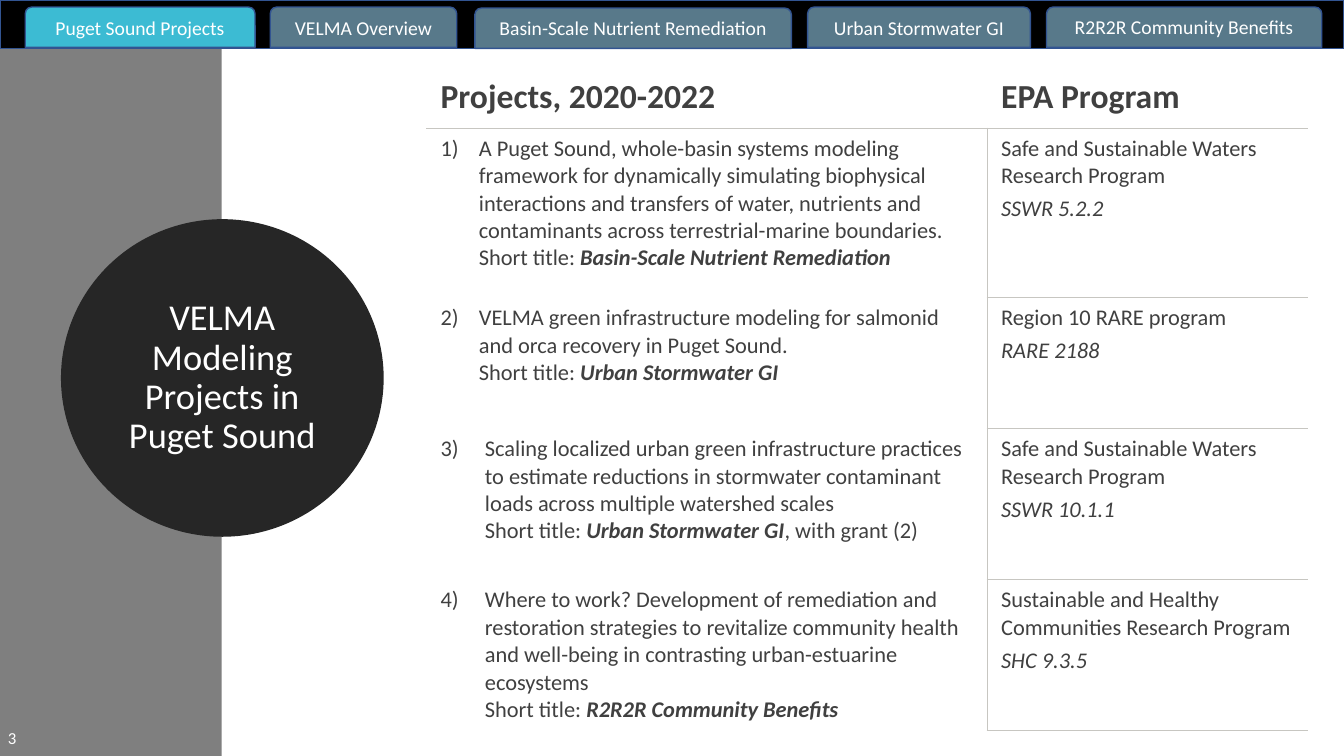
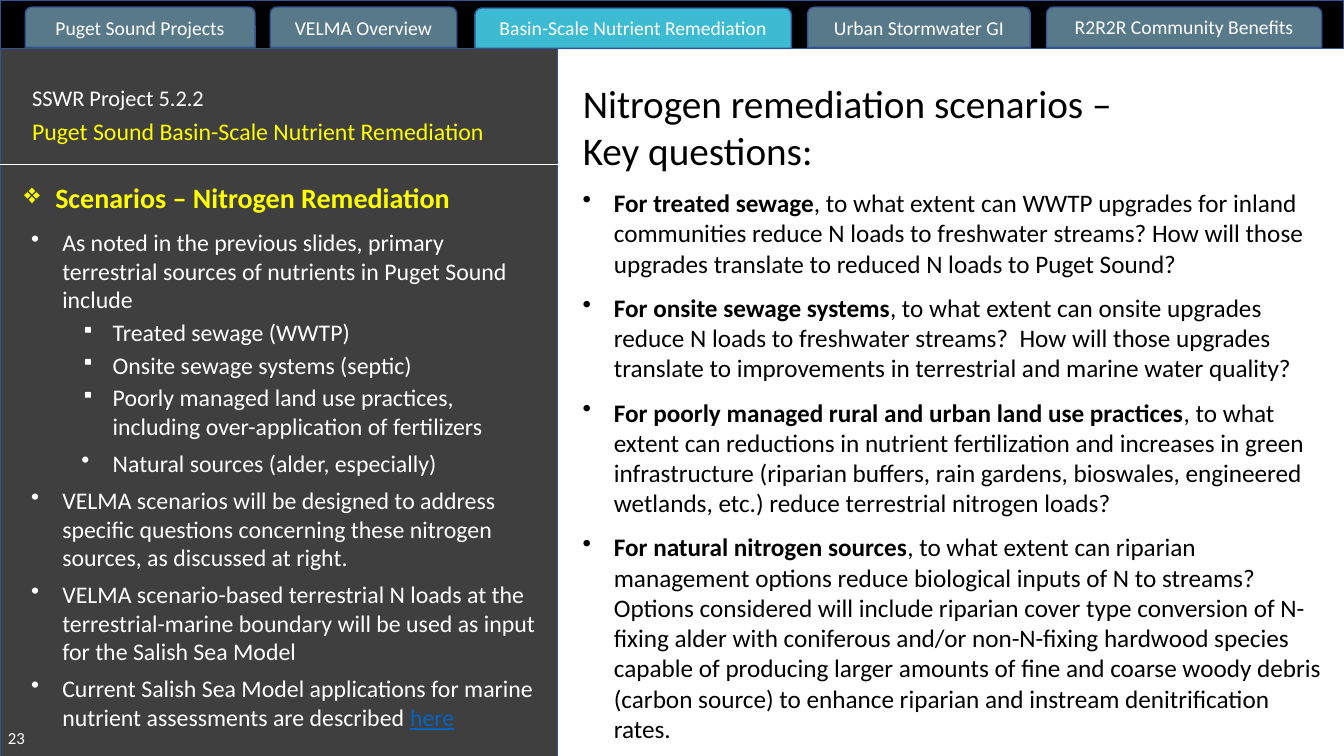
from dataclasses import dataclass

from lxml.etree import SubElement
from pptx import Presentation
from pptx.dml.color import RGBColor
from pptx.enum.shapes import MSO_CONNECTOR as Connector
from pptx.enum.shapes import MSO_SHAPE as Preset
from pptx.enum.text import MSO_ANCHOR as Anchor
from pptx.enum.text import MSO_AUTO_SIZE as AutoSize
from pptx.enum.text import PP_ALIGN as Align
from pptx.oxml.ns import qn
from pptx.util import Inches, Pt

FONT = "Calibri"
COLORS = {
    "white": "FFFFFF",
    "black": "000000",
    "sidebar": "7F7F7F",
    "panel": "3F3F3F",
    "circle": "262626",
    "tab": "58798A",
    "active": "3CBBD3",
    "outline": "325491",
    "table_text": "404040",
    "grid": "C7C6C1",
    "yellow": "FFFF00",
    "link": "0563C1",
}
NO_GRID_STYLE = "{2D5ABB26-0587-4C30-8999-92F81FD0307C}"

TABS = [
    ("Puget Sound Projects", 0.25, 0.07, 2.28, None),
    ("VELMA Overview", 2.68, 0.07, 1.85, None),
    ("Basin-Scale Nutrient Remediation", 4.71, 0.08, 3.14, 14),
    ("Urban Stormwater GI", 8.01, 0.07, 2.21, None),
    ("R2R2R Community Benefits", 10.38, 0.07, 2.73, 14),
]

PROJECTS = [
    (1.68, 0.38,
     "A Puget Sound, whole-basin systems modeling framework for dynamically simulating biophysical "
     "interactions and transfers of water, nutrients and contaminants across terrestrial-marine boundaries.",
     "Basin-Scale Nutrient Remediation", "",
     "Safe and Sustainable Waters Research Program", "SSWR 5.2.2"),
    (1.3, 0.38,
     "VELMA green infrastructure modeling for salmonid and orca recovery in Puget Sound.",
     "Urban Stormwater GI", "", "Region 10 RARE program", "RARE 2188"),
    (1.5, 0.44,
     "Scaling localized urban green infrastructure practices to estimate reductions in stormwater "
     "contaminant loads across multiple watershed scales",
     "Urban Stormwater GI", ", with grant (2)",
     "Safe and Sustainable Waters Research Program", "SSWR 10.1.1"),
    (1.5, 0.44,
     "Where to work? Development of remediation and restoration strategies to revitalize community "
     "health and well-being in contrasting urban-estuarine ecosystems",
     "R2R2R Community Benefits", "",
     "Sustainable and Healthy Communities Research Program", "SHC 9.3.5"),
]

QUESTIONS = [
    ("For treated sewage",
     ", to what extent can WWTP upgrades for inland communities reduce N loads to freshwater streams? "
     "How will those upgrades translate to reduced N loads to Puget Sound?"),
    ("For onsite sewage systems",
     ", to what extent can onsite upgrades reduce N loads to freshwater streams?  How will those "
     "upgrades translate to improvements in terrestrial and marine water quality?"),
    ("For poorly managed rural and urban land use practices",
     ", to what extent can reductions in nutrient fertilization and increases in green infrastructure "
     "(riparian buffers, rain gardens, bioswales, engineered wetlands, etc.) reduce terrestrial "
     "nitrogen loads?"),
    ("For natural nitrogen sources",
     ", to what extent can riparian management options reduce biological inputs of N to streams? "
     "Options considered will include riparian cover type conversion of N-fixing alder with coniferous "
     "and/or non-N-fixing hardwood species capable of producing larger amounts of fine and coarse "
     "woody debris (carbon source) to enhance riparian and instream denitrification rates."),
]


@dataclass
class Box:
    left: float
    top: float
    width: float
    height: float

    def inside(self, left, top, width, height):
        return Box(self.left + left, self.top + top, width, height)

    def lengths(self):
        return [Inches(value) for value in (self.left, self.top, self.width, self.height)]


@dataclass
class Run:
    text: str
    bold: bool = False
    italic: bool = False
    underline: bool = False
    color: str = ""


@dataclass
class Block:
    runs: list
    size: float
    color: str
    before: float = 0
    after: float = 0
    margin: float = 0
    hanging: float = 0
    bullet: str = ""
    bullet_percent: int = 100
    number: int = 0
    level: int = 0
    align: Align = Align.LEFT
    spacing: object = None


def rgb(name):
    return RGBColor.from_string(COLORS[name])


def add_bullet(paragraph, block):
    properties = paragraph._p.get_or_add_pPr()
    properties.set("marL", str(Inches(block.margin)))
    properties.set("indent", str(-Inches(block.hanging)))
    if block.number:
        SubElement(properties, qn("a:buAutoNum"), type="arabicParenR", startAt=str(block.number))
    elif block.bullet:
        SubElement(properties, qn("a:buSzPct"), val=str(block.bullet_percent * 1000))
        SubElement(properties, qn("a:buChar"), char=block.bullet)


def write(frame, blocks):
    for index, block in enumerate(blocks):
        paragraph = frame.add_paragraph() if index else frame.paragraphs[0]
        add_bullet(paragraph, block)
        paragraph.level = block.level
        paragraph.alignment = block.align
        paragraph.space_before = Pt(block.before)
        paragraph.space_after = Pt(block.after)
        if block.spacing:
            paragraph.line_spacing = block.spacing
        for item in block.runs:
            run = paragraph.add_run()
            run.text = item.text
            font = run.font
            font.name, font.size = FONT, Pt(block.size)
            font.bold, font.italic, font.underline = item.bold, item.italic, item.underline
            font.color.rgb = rgb(item.color or block.color)


def add_panel(shapes, preset, box, fill, line=None, line_width=1):
    shape = shapes.add_shape(preset, *box.lengths())
    shape.shadow.inherit = False
    shape.fill.solid()
    shape.fill.fore_color.rgb = rgb(fill)
    if line:
        shape.line.color.rgb = rgb(line)
        shape.line.width = Pt(line_width)
    else:
        shape.line.fill.background()
    return shape


def add_text(slide, box, blocks, anchor=Anchor.TOP):
    frame = slide.shapes.add_textbox(*box.lengths()).text_frame
    frame.word_wrap = True
    frame.vertical_anchor = anchor
    write(frame, blocks)


def place_title(slide, box, block, anchor):
    title = slide.shapes.title
    title.left, title.top, title.width, title.height = box.lengths()
    frame = title.text_frame
    frame.word_wrap = True
    frame.auto_size = AutoSize.NONE
    frame.vertical_anchor = anchor
    write(frame, [block])
    return title


def add_navigation(slide, box, active):
    group = slide.shapes.add_group_shape()
    add_panel(group.shapes, Preset.RECTANGLE, box, "black", "outline")
    for label, left, top, width, spacing in TABS:
        fill = "active" if label == active else "tab"
        tab = add_panel(group.shapes, Preset.ROUND_2_SAME_RECTANGLE,
                        box.inside(left, top, width, 0.4), fill, "outline")
        tab.text_frame.vertical_anchor = Anchor.MIDDLE
        write(tab.text_frame, [Block([Run(label)], 14, "white", align=Align.CENTER,
                                     spacing=Pt(spacing) if spacing else None)])


def add_frame(slide, active, number):
    add_navigation(slide, Box(0, 0, 13.33, 0.48), active)
    add_text(slide, Box(-0.02, 7.12, 0.45, 0.4), [Block([Run(number)], 12, "white")], Anchor.MIDDLE)


def add_circle_title(slide, box, text):
    circle = add_panel(slide.shapes, Preset.OVAL, box, "circle", "circle", 13.75)
    title = place_title(slide, box.inside(0.44, 0.43, box.width - 0.88, box.height - 0.86),
                        Block([Run(text)], 26, "white", align=Align.CENTER, spacing=0.9),
                        Anchor.MIDDLE)
    circle.element.addnext(title.element)


def format_cell(cell, blocks, borders):
    cell.margin_left, cell.margin_right = Inches(0.14), Inches(0.1)
    cell.margin_top = cell.margin_bottom = Inches(0.07)
    properties = cell._tc.get_or_add_tcPr()
    for side in borders:
        line = SubElement(properties, qn(f"a:ln{side}"), w=str(Pt(0.75)))
        SubElement(SubElement(line, qn("a:solidFill")), qn("a:srgbClr"), val=COLORS["grid"])
    cell.fill.background()
    write(cell.text_frame, blocks)


def add_project_table(slide, box):
    table = slide.shapes.add_table(len(PROJECTS) + 1, 2, *box.lengths()).table
    table.first_row = table.horz_banding = False
    table._tbl.tblPr.find(qn("a:tableStyleId")).text = NO_GRID_STYLE
    table.columns[0].width = Inches(5.56)
    table.columns[1].width = Inches(box.width - 5.56)
    table.rows[0].height = Inches(0.58)
    color = "table_text"
    for column, heading in enumerate(["Projects, 2020-2022", "EPA Program"]):
        format_cell(table.cell(0, column), [Block([Run(heading, bold=True)], 24, color)], "B")
    for row, (height, margin, summary, short_title, note, program, code) in enumerate(PROJECTS, 1):
        table.rows[row].height = Inches(height)
        title_runs = [Run("Short title: "), Run(short_title, bold=True, italic=True)]
        if note:
            title_runs.append(Run(note))
        format_cell(table.cell(row, 0), [
            Block([Run(summary)], 16, color, margin=margin, hanging=margin, number=row),
            Block(title_runs, 16, color, margin=margin, level=1),
        ], "R")
        format_cell(table.cell(row, 1), [
            Block([Run(program)], 16, color),
            Block([Run(code, italic=True)], 16, color, before=4),
        ], "LB")


def add_scenario_panel(slide, box):
    add_panel(slide.shapes, Preset.RECTANGLE, box, "panel", "outline")
    add_text(slide, box.inside(0.22, 0.76, 4.86, 0.71), [
        Block([Run("SSWR Project 5.2.2")], 16, "white"),
        Block([Run("Puget Sound Basin-Scale Nutrient Remediation")], 17, "yellow", before=4),
    ])
    left, rule_top = Inches(box.left), Inches(box.top + 1.6)
    rule = slide.shapes.add_connector(Connector.STRAIGHT, left, rule_top,
                                      left + Inches(box.width), rule_top)
    rule.line.color.rgb = rgb("white")
    rule.line.width = Pt(0.5)
    SubElement(rule.element.spPr, qn("a:effectLst"))
    add_text(slide, box.inside(0.14, 1.71, 5, 0.44), [
        Block([Run("Scenarios – Nitrogen Remediation", bold=True)], 20, "yellow",
              margin=0.31, hanging=0.31, bullet="❖"),
    ])

    def point(*runs, before=6.0):
        return Block(list(runs), 17, "white", before, margin=0.31, hanging=0.31, bullet="•")

    def source(text, before=3, bullet="▪", percent=75):
        return Block([Run(text)], 17, "white", before, margin=0.81, hanging=0.31,
                     bullet=bullet, bullet_percent=percent, level=1)

    add_text(slide, box.inside(0.21, 2.18, 5.26, 5.14), [
        point(Run("As noted in the previous slides, primary terrestrial sources of nutrients in "
                  "Puget Sound include"), before=0),
        source("Treated sewage (WWTP)"),
        source("Onsite sewage systems (septic)"),
        source("Poorly managed land use practices, including over-application of fertilizers"),
        source("Natural sources (alder, especially)", 6, "•", 100),
        point(Run("VELMA scenarios will be designed to address specific questions concerning these "
                  "nitrogen sources, as discussed at right.")),
        point(Run("VELMA scenario-based terrestrial N loads at the terrestrial-marine boundary will "
                  "be used as input for the Salish Sea Model")),
        point(Run("Current Salish Sea Model applications for marine nutrient assessments are described "),
              Run("here", underline=True, color="link")),
    ])


def add_key_questions(slide, box):
    place_title(slide, box.inside(0, 0, 5.72, 1.05),
                Block([Run("Nitrogen remediation scenarios – Key questions:")], 28, "black"),
                Anchor.TOP)
    add_text(slide, box.inside(0, 1.07, box.width, box.height - 1.07), [
        Block([Run(topic, bold=True), Run(question)], 18, "black", before=6 if index else 0,
              after=4, margin=0.31, hanging=0.31, bullet="•")
        for index, (topic, question) in enumerate(QUESTIONS)
    ])


def build_projects_slide(slide):
    add_panel(slide.shapes, Preset.RECTANGLE, Box(0, 0, 2.2, 7.5), "sidebar")
    add_circle_title(slide, Box(0.7, 2.27, 3.01, 2.96), "VELMA Modeling Projects in Puget Sound")
    add_project_table(slide, Box(4.23, 0.69, 8.74, 6.56))
    add_frame(slide, "Puget Sound Projects", "3")


def build_questions_slide(slide):
    add_scenario_panel(slide, Box(0, 0.03, 5.53, 7.5))
    add_key_questions(slide, Box(5.68, 0.74, 7.58, 6.74))
    add_frame(slide, "Basin-Scale Nutrient Remediation", "23")


def main():
    presentation = Presentation()
    presentation.slide_width, presentation.slide_height = Inches(13.33), Inches(7.5)
    title_only = presentation.slide_layouts[5]
    for build in (build_projects_slide, build_questions_slide):
        build(presentation.slides.add_slide(title_only))
    presentation.save("out.pptx")


if __name__ == "__main__":
    main()
